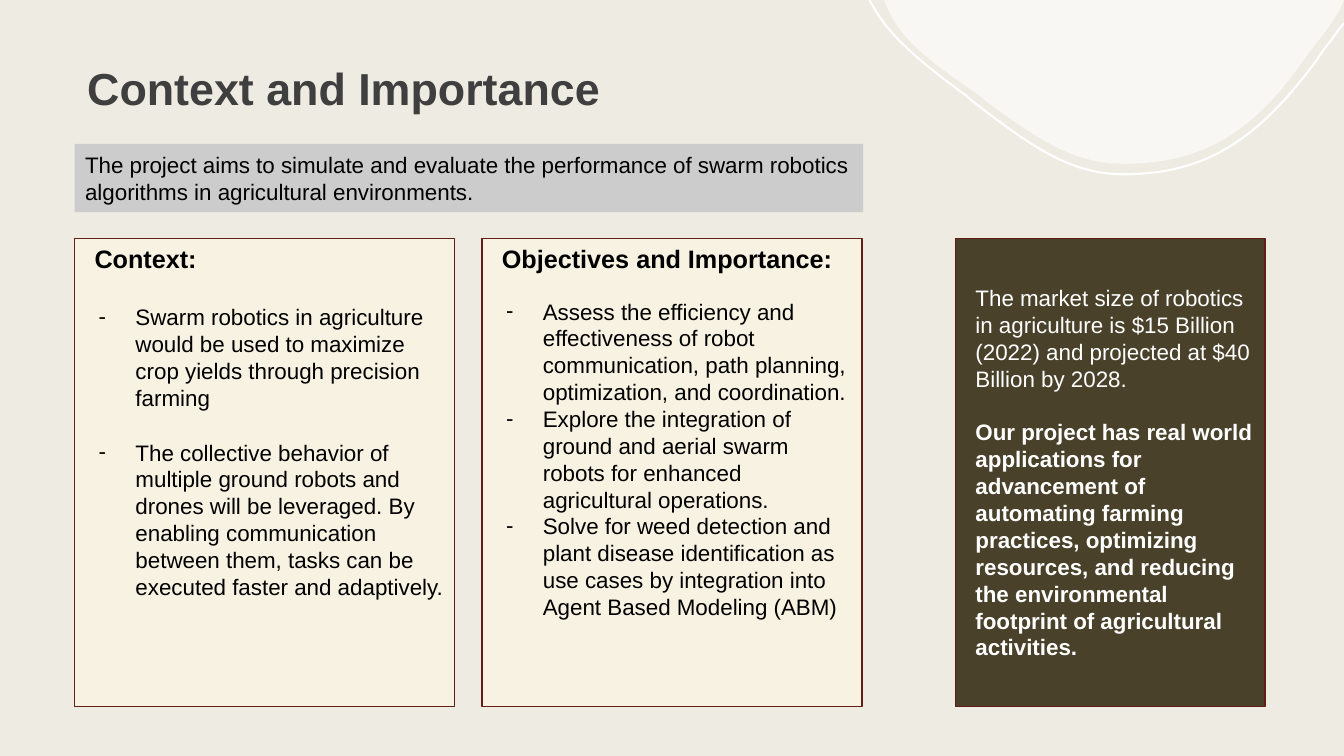
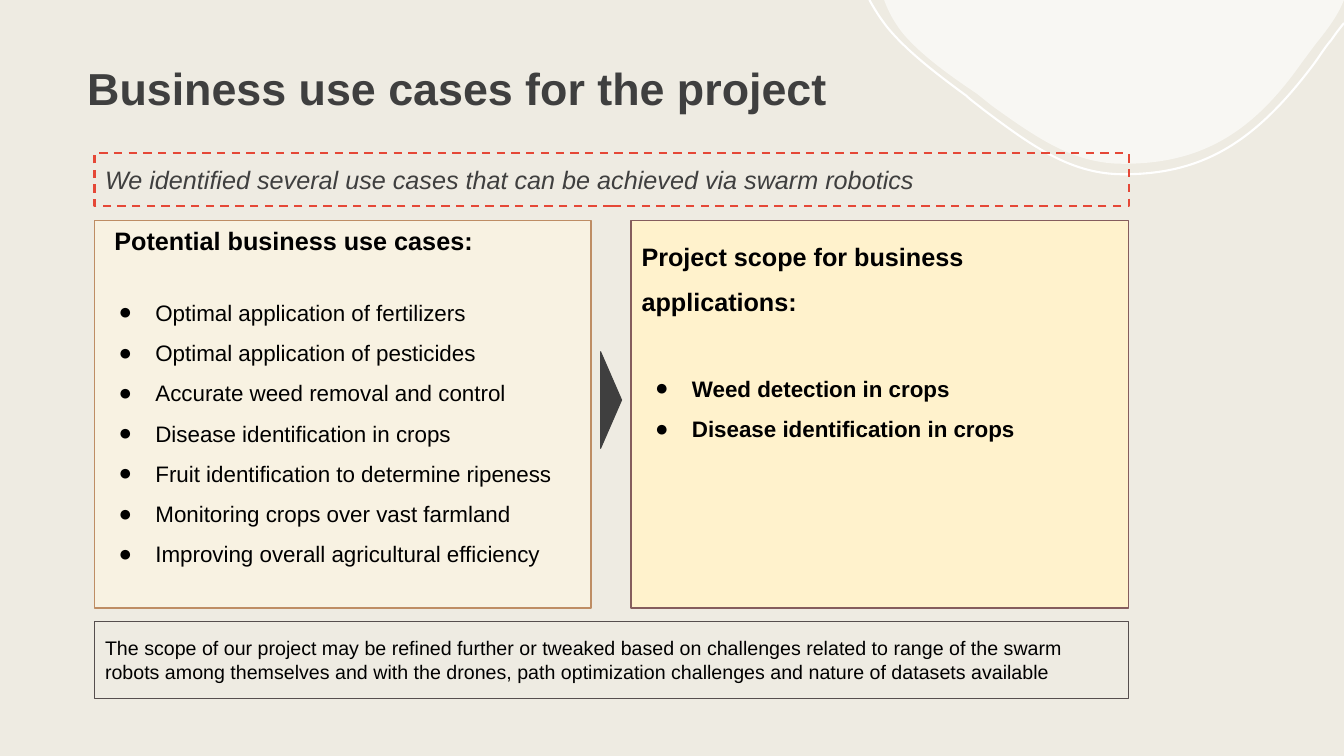
from collections import namedtuple
from lxml import etree
from pptx import Presentation
from pptx.dml.color import RGBColor
from pptx.enum.dml import MSO_LINE_DASH_STYLE as DASH
from pptx.enum.shapes import MSO_SHAPE as SHAPE
from pptx.enum.text import MSO_ANCHOR as ANCHOR, MSO_AUTO_SIZE as AUTO_SIZE, PP_ALIGN as ALIGN
from pptx.oxml.ns import qn
from pptx.util import Pt

PX = 9525  # EMU in one px, 96 px to the inch
FONT = "Arial"
COLORS = {
    "paper": "EEEBE2", "white": "FFFFFF", "black": "000000", "charcoal": "3F3F3F",
    "cream": "F8F2E2", "maroon": "601E17", "olive": "49412A", "gray": "CCCCCC",
    "tan": "BE8D64", "butter": "FFF2CC", "mauve": "855D5D", "red": "E54837",
    "umber": "564E4E",
}
RGB = {name: RGBColor.from_string(value) for name, value in COLORS.items()}

Row = namedtuple("Row", "text size color style marker indent before spacing",
                 defaults=(16, "black", "", "", 0, 0, 1))


def paint(shape, fill=None, line=None, width=1):
    """Set fill and outline; None means none."""
    if fill:
        shape.fill.solid()
        shape.fill.fore_color.rgb = RGB[fill]
    else:
        shape.fill.background()
    if line:
        shape.line.color.rgb = RGB[line]
        shape.line.width = Pt(width)
    else:
        shape.line.fill.background()


def write(shape, rows, anchor=ANCHOR.MIDDLE, margins=(10, 10, 10, 10)):
    """Write one paragraph per row; margins are left, top, right, bottom."""
    frame = shape.text_frame
    frame.text = "\n".join(row.text for row in rows)
    frame.word_wrap = True
    frame.auto_size = AUTO_SIZE.NONE
    frame.vertical_anchor = anchor
    (frame.margin_left, frame.margin_top,
     frame.margin_right, frame.margin_bottom) = [side * PX for side in margins]
    for para, row in zip(frame.paragraphs, rows):
        props = para._p.get_or_add_pPr()
        left, hanging = (48, -35) if row.marker else (row.indent, 0)
        props.set("marL", str(left * PX))
        props.set("indent", str(hanging * PX))
        if row.marker:
            etree.SubElement(props, qn("a:buChar")).set("char", row.marker)
        else:
            etree.SubElement(props, qn("a:buNone"))
        para.alignment = ALIGN.LEFT
        para.line_spacing = row.spacing
        para.space_before = Pt(row.before)
        para.space_after = Pt(0)
        for span in para.runs:
            span.font.name = FONT
            span.font.size = Pt(row.size)
            span.font.color.rgb = RGB[row.color]
            span.font.bold = row.style == "bold"
            span.font.italic = row.style == "italic"


deck = Presentation()
deck.slide_width, deck.slide_height = 1280 * PX, 720 * PX
master = deck.slide_master
master.background.fill.solid()
master.background.fill.fore_color.rgb = RGB["paper"]

layout = deck.slide_layouts.get_by_name("Two Content")
heading = layout.placeholders[0]
heading.left, heading.top, heading.width, heading.height = [
    length * PX for length in (71, 45, 867, 74)]

pages = []
for title in ("Context and Importance", "Business use cases for the project"):
    page = deck.slides.add_slide(layout)
    write(page.shapes.title, [Row(title, 32, "charcoal", "bold")],
          ANCHOR.BOTTOM, (12, 12, 12, 10))
    pages.append(page)
context_page, business_page = pages

# Corner decoration on the master: a start point, then three points per Bézier curve
blob = [
    (842, 0), (846, 11), (852, 22), (860, 32), (877, 52), (903, 71), (930, 89),
    (935, 93), (940, 97), (945, 101), (991, 134), (1024, 156), (1070, 156),
    (1140, 156), (1189, 130), (1236, 65), (1241, 58), (1247, 50), (1253, 42),
    (1266, 26), (1275, 13), (1280, 0),
]
rim = [
    (828, 0), (833, 9), (838, 17), (845, 26), (863, 48), (890, 69), (920, 91),
    (924, 95), (930, 99), (936, 104), (985, 141), (1021, 166), (1070, 166),
    (1146, 166), (1195, 135), (1249, 64), (1256, 55), (1261, 46), (1268, 38),
    (1272, 32), (1276, 27), (1280, 22),
]
for number, (knots, fill, line) in enumerate([(blob, "white", None), (rim, None, "white")]):
    builder = context_page.shapes.build_freeform(*knots[0], scale=PX)
    builder.add_line_segments(knots[1:], close=fill is not None)
    corner = builder.convert_to_shape()
    corner.shadow.inherit = False
    paint(corner, fill, line, 1.5)
    segments = list(corner.element.spPr.iter(qn("a:lnTo")))
    for first in range(0, len(segments), 3):
        curve = etree.Element(qn("a:cubicBezTo"))
        segments[first].addprevious(curve)
        for segment in segments[first:first + 3]:
            curve.append(segment[0])
            segment.getparent().remove(segment)
    if fill:
        color = corner.element.spPr.find(".//" + qn("a:srgbClr"))
        etree.SubElement(color, qn("a:alpha")).set("val", "60000")
    corner.element.nvSpPr.cNvPr.set("id", str(100 + number))
    master.shapes.element.append(corner.element)

# Two cards per page, in the body placeholders
context_rows = [
    Row("Context:", 18, style="bold", indent=9),
    Row("Swarm robotics in agriculture would be used to maximize crop yields through "
        "precision farming", marker="-", before=21),
    Row("The collective behavior of multiple ground robots and drones will be leveraged. "
        "By enabling communication between them, tasks can be executed faster and "
        "adaptively.", marker="-", before=20),
]
objective_rows = [
    Row("Objectives and Importance:", 18, style="bold", indent=9),
    Row("Assess the efficiency and effectiveness of robot communication, path planning, "
        "optimization, and coordination.", marker="-", before=17),
    Row("Explore the integration of ground and aerial swarm robots for enhanced "
        "agricultural operations.", marker="-"),
    Row("Solve for weed detection and plant disease identification as use cases by "
        "integration into Agent Based Modeling (ABM)", marker="-"),
]
use_cases = [
    "Optimal application of fertilizers",
    "Optimal application of pesticides",
    "Accurate weed removal and control",
    "Disease identification in crops",
    "Fruit identification to determine ripeness",
    "Monitoring crops over vast farmland",
    "Improving overall agricultural efficiency",
]
use_case_rows = [Row("Potential business use cases:", 18, style="bold", indent=9)] + [
    Row(text, marker="●", before=0 if number else 21, spacing=1.5)
    for number, text in enumerate(use_cases)]
scope_rows = [
    Row("Project scope for business applications:", 18, style="bold", spacing=1.5),
    Row("Weed detection in crops", style="bold", marker="●", before=32, spacing=1.5),
    Row("Disease identification in crops", style="bold", marker="●", spacing=1.5),
]
CARD_MARGINS = (10, 5, 10, 5)
cards = [
    (context_page, 1, (71, 227, 362, 446), "cream", "maroon", context_rows),
    (context_page, 2, (459, 227, 362, 446), "cream", "maroon", objective_rows),
    (business_page, 1, (90, 210, 473, 369), "cream", "tan", use_case_rows),
    (business_page, 2, (601, 210, 474, 369), "butter", "mauve", scope_rows),
]
for page, slot, place, fill, line, rows in cards:
    card = page.placeholders[slot]
    card.left, card.top, card.width, card.height = [length * PX for length in place]
    paint(card, fill, line)
    write(card, rows, ANCHOR.TOP, CARD_MARGINS)

# Banners, side panel and footnote
market_rows = [
    Row("The market size of robotics in agriculture is $15 Billion (2022) and projected "
        "at $40 Billion by 2028.", color="white", indent=9),
    Row("Our project has real world applications for advancement of automating farming "
        "practices, optimizing resources, and reducing the environmental footprint of "
        "agricultural activities.", color="white", style="bold", indent=9, before=19),
]
aim_rows = [Row("The project aims to simulate and evaluate the performance of swarm robotics "
                "algorithms in agricultural environments.")]
summary_rows = [Row("We identified several use cases that can be achieved via swarm robotics",
                    18, "charcoal", "italic")]
footnote_rows = [Row("The scope of our project may be refined further or tweaked based on "
                     "challenges related to range of the swarm robots among themselves and "
                     "with the drones, path optimization challenges and nature of datasets "
                     "available", 14)]
boxes = [
    (context_page, (910, 227, 295, 446), "olive", "maroon", 1, None, market_rows),
    (context_page, (71, 137, 751, 65), "gray", None, 0, None, aim_rows),
    (business_page, (90, 146, 985, 50), None, "red", 1.5, DASH.DASH, summary_rows),
    (business_page, (90, 592, 985, 73), "paper", "umber", 0.75, None, footnote_rows),
]
for page, place, fill, line, width, dash, rows in boxes:
    box = page.shapes.add_shape(SHAPE.RECTANGLE, *[length * PX for length in place])
    box.shadow.inherit = False
    paint(box, fill, line, width)
    if dash:
        box.line.dash_style = dash
    write(box, rows)

pointer = business_page.shapes.add_shape(
    SHAPE.ISOSCELES_TRIANGLE, *[length * PX for length in (536, 371, 92, 20)])
pointer.rotation = 90
pointer.shadow.inherit = False
paint(pointer, "charcoal", "charcoal", 0.75)

deck.save("out.pptx")
